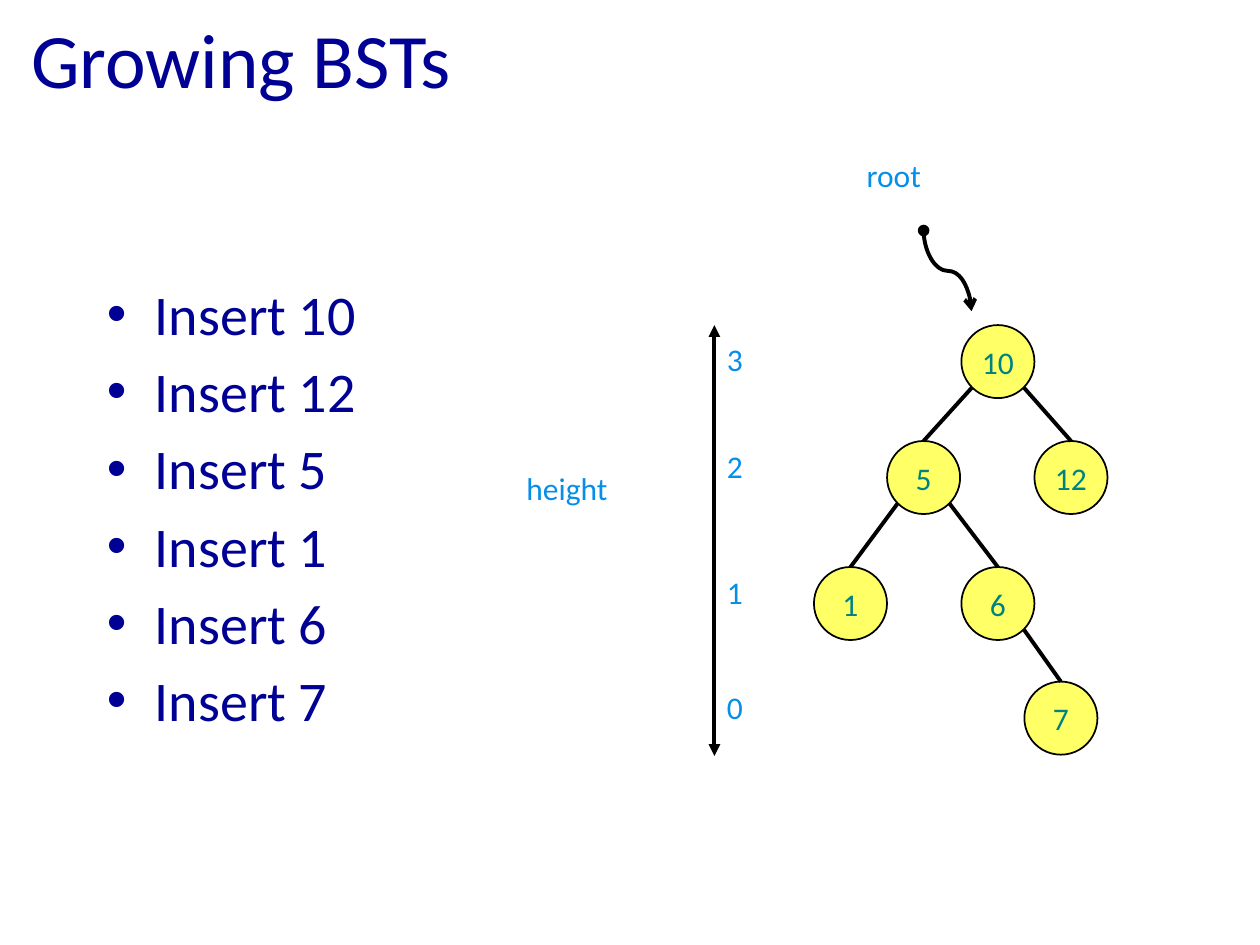
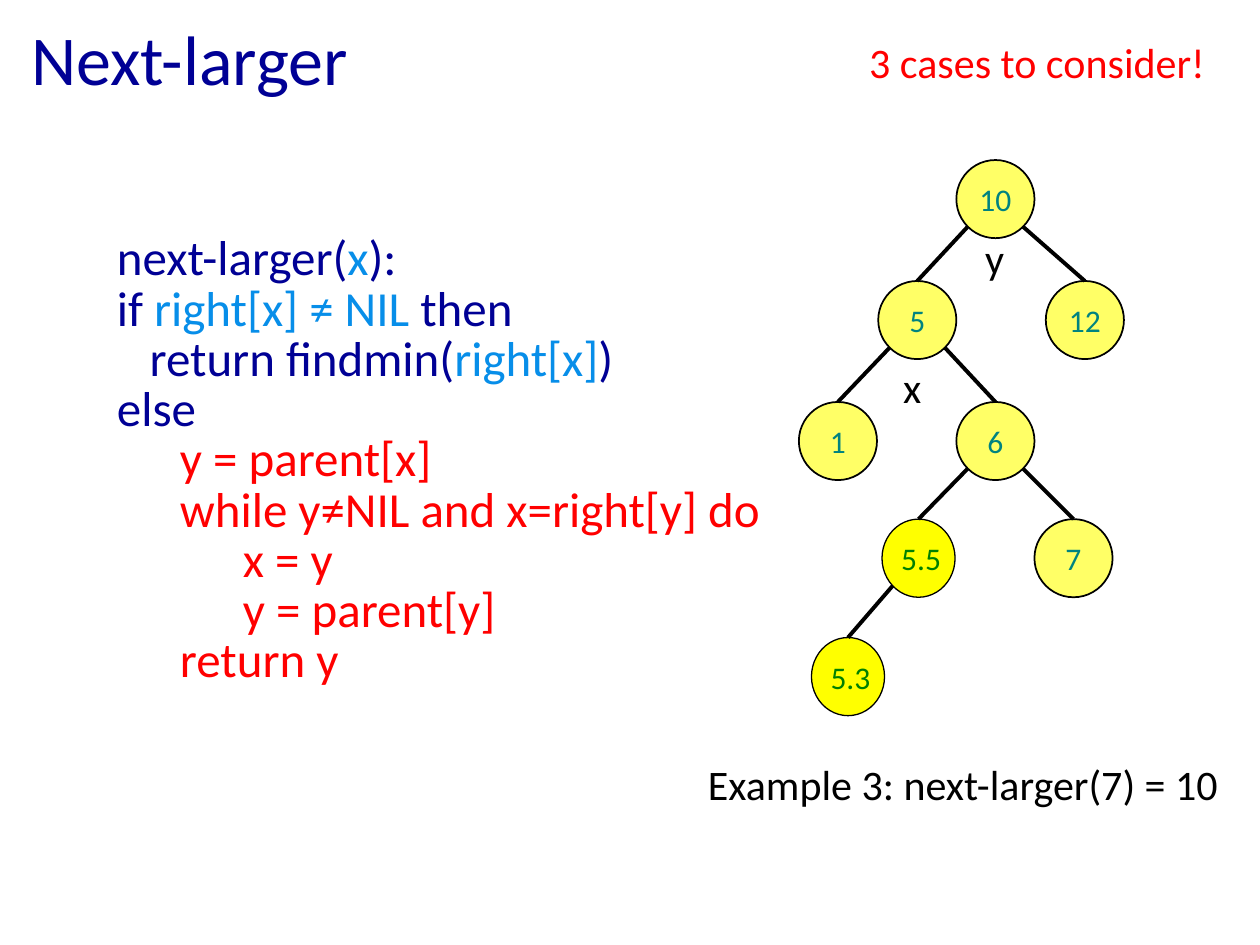
from lxml import etree
from pptx import Presentation
from pptx.dml.color import RGBColor
from pptx.enum import shapes, text
from pptx.oxml import ns
from pptx.util import Inches, Pt

FONT = "Calibri"
COLOURS = {
    "navy": "000095", "sky": "078EE9", "red": "FF0000", "black": "000000",
    "teal": "008380", "green": "008000", "pale": "FFFF66", "bright": "FFFF00",
}
# Where the diagonal of a box crosses its inscribed ellipse
NEAR, FAR = 0.146, 0.854


def colour(name):
    return RGBColor.from_string(COLOURS[name])


def add_xml(parent, tag, **attributes):
    return etree.SubElement(parent, ns.qn(tag), attributes)


def write(shape, paragraphs, size=18, ink="navy", align=text.PP_ALIGN.LEFT,
          anchor=text.MSO_ANCHOR.TOP, margins=(0.1, 0.05, 0, 0.05), before=0,
          spacing=None, bullet=None, hanging=0.38):
    """Fill a shape; a paragraph is (indent, [(words, ink or None), ...])."""
    frame = shape.text_frame
    frame.word_wrap = True
    frame.vertical_anchor = anchor
    (frame.margin_left, frame.margin_top,
     frame.margin_right, frame.margin_bottom) = map(Inches, margins)
    for index, (indent, spans) in enumerate(paragraphs):
        para = frame.add_paragraph() if index else frame.paragraphs[0]
        para.alignment = align
        para.space_before = Pt(before)
        if spacing:
            para.line_spacing = spacing
        properties = para._p.get_or_add_pPr()
        if bullet:
            properties.set("marL", str(Inches(hanging)))
            properties.set("indent", str(Inches(-hanging)))
            add_xml(properties, "a:buFont", typeface="Arial")
            add_xml(properties, "a:buChar", char=bullet)
        elif indent:
            properties.set("marL", str(Inches(indent)))
            properties.set("indent", "0")
        for words, span_ink in spans:
            span = para.add_run()
            span.text = words
            span.font.name = FONT
            span.font.size = Pt(size)
            span.font.color.rgb = colour(span_ink or ink)


def add_text(page, box, content, **style):
    """Add a text box holding one string or a list of paragraphs."""
    if isinstance(content, str):
        content = [(0, [(content, None)])]
    shape = page.shapes.add_textbox(*map(Inches, box))
    write(shape, content, **style)


def add_title(page, words, size):
    add_text(page, (0.15, 0.03, 9, 0.85), words, size=size,
             anchor=text.MSO_ANCHOR.MIDDLE)


def add_line(page, start, end, kind=shapes.MSO_CONNECTOR.STRAIGHT,
             head=None, tail=None):
    line = page.shapes.add_connector(kind, *map(Inches, (*start, *end)))
    line.line.color.rgb = colour("black")
    line.line.width = Pt(2.25)
    outline = line.line._get_or_add_ln()
    if head:
        add_xml(outline, "a:headEnd", type=head)
    if tail:
        add_xml(outline, "a:tailEnd", type=tail)
    add_xml(line._element.spPr, "a:effectLst")
    return line


def add_node(page, label, box, fill="pale", ink="teal", outline=1, nudge=0):
    node = page.shapes.add_shape(shapes.MSO_SHAPE.OVAL, *map(Inches, box))
    node.shadow.inherit = False
    node.fill.solid()
    node.fill.fore_color.rgb = colour(fill)
    node.line.color.rgb = colour("black")
    node.line.width = Pt(outline)
    write(node, [(0, [(label, None)])], ink=ink, align=text.PP_ALIGN.CENTER,
          anchor=text.MSO_ANCHOR.MIDDLE, margins=(nudge, 0, 0, 0))
    return node


def add_tree(page, origin, size, places, edges, added=()):
    """Draw nodes at places relative to origin, then join parents to children.

    Nodes named in added are narrower and brighter.
    """
    boxes, nodes = {}, {}
    for label, (across, down) in places.items():
        is_added = label in added
        width = 0.58 if is_added else size
        boxes[label] = (origin[0] + across, origin[1] + down, width, size)
        look = dict(fill="bright", ink="green", outline=0.75,
                    nudge=0.04) if is_added else {}
        nodes[label] = add_node(page, label, boxes[label], **look)
    for parent, child in edges:
        left, top, width, height = boxes[parent]
        child_left, child_top, child_width, _ = boxes[child]
        side = NEAR if child_left < left else FAR
        line = add_line(page, (left + side * width, top + FAR * height),
                        (child_left + child_width / 2, child_top))
        line.end_connect(nodes[child], 0)


def add_root_pointer(page, left, top):
    add_text(page, (left, top, 0.93, 0.64), "root", ink="sky")
    curve_left, curve_top = left + 0.42, top + 0.77
    curve = add_line(page, (curve_left + 0.64, curve_top),
                     (curve_left, curve_top + 0.38),
                     kind=shapes.MSO_CONNECTOR.CURVE, head="oval", tail="arrow")
    curve._element.spPr.find(ns.qn("a:xfrm")).set("rot", str(270 * 60000))


def add_height_scale(page, left, top, height, levels):
    add_text(page, (left - 1.59, top + 1.09, 1.32, 0.64), "height", ink="sky")
    add_line(page, (left, top), (left, top + height),
             head="triangle", tail="triangle")
    for level, down in levels.items():
        add_text(page, (left, top + down, 0.43, 0.64), level, ink="sky")


BASE_EDGES = [("10", "5"), ("10", "12"), ("5", "1"), ("5", "6"), ("6", "7")]


def build_growing(page):
    add_title(page, "Growing BSTs", 44)
    steps = [(0, [(f"Insert {key}", None)]) for key in (10, 12, 5, 1, 6, 7)]
    add_text(page, (0.75, 2.17, 4.92, 4.5), steps, size=32, before=5.7,
             bullet="•")
    places = {"10": (1.17, 0), "12": (1.75, 0.92), "5": (0.58, 0.92),
              "1": (0, 1.92), "6": (1.17, 1.92), "7": (1.67, 2.83)}
    add_tree(page, (6.46, 2.58), 0.58, places, BASE_EDGES)
    add_root_pointer(page, 6.78, 1.19)
    add_height_scale(page, 5.67, 2.58, 3.42,
                     {"3": 0.07, "2": 0.92, "1": 1.92, "0": 2.83})


def build_next_larger(page):
    add_title(page, "Next-larger", 40)
    code = [
        (0, [("next-larger(", None), ("x", "sky"), ("):", None)]),
        (0, [("if ", None), ("right[x] ≠ NIL ", "sky"), ("then", None)]),
        (0.26, [("return findmin(", None), ("right[x]", "sky"), (")", None)]),
        (0, [("else", None)]),
        (0.5, [("y = parent[x]", "red")]),
        (0.5, [("while y≠NIL and x=right[y] do", "red")]),
        (1, [("x = y", "red")]),
        (1, [("y = parent[y]", "red")]),
        (0.5, [("return y", "red")]),
    ]
    add_text(page, (0.83, 1.88, 6.25, 4.5), code, size=28, before=5.2,
             spacing=0.7)
    places = {"10": (1.25, 0), "12": (1.96, 0.96), "5": (0.63, 0.96),
              "1": (0, 1.92), "6": (1.25, 1.92), "7": (1.87, 2.85),
              "5.5": (0.66, 2.85), "5.3": (0.1, 3.79)}
    add_tree(page, (6.34, 1.27), 0.62, places,
             BASE_EDGES + [("6", "5.5"), ("5.5", "5.3")], added=("5.5", "5.3"))
    notes = [
        ("3 cases to consider!", (6.8, 0.24, 2.9, 0.5), "red"),
        ("Example 3: next-larger(7) = 10", (5.52, 5.97, 4.32, 0.5), "black"),
        ("x", (7.07, 2.82, 0.35, 0.5), "black"),
        ("y", (7.72, 1.8, 0.36, 0.5), "black"),
    ]
    for words, box, ink in notes:
        add_text(page, box, words, size=24, ink=ink)


def main():
    deck = Presentation()
    deck.slide_width, deck.slide_height = Inches(10), Inches(7.5)
    for build in (build_growing, build_next_larger):
        build(deck.slides.add_slide(deck.slide_layouts[6]))
    deck.save("out.pptx")


if __name__ == "__main__":
    main()
